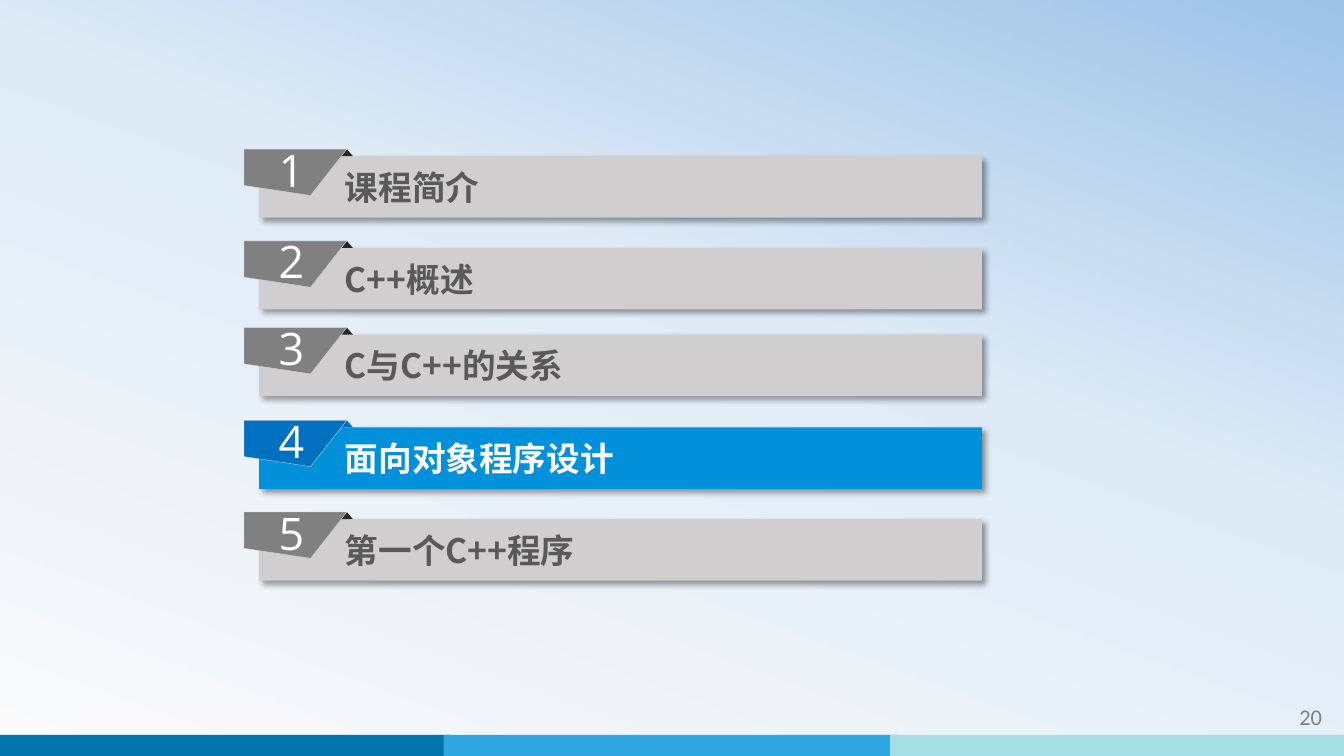
from lxml import etree
from pptx import Presentation
from pptx.dml.color import RGBColor
from pptx.enum.shapes import MSO_SHAPE
from pptx.enum.text import MSO_ANCHOR, PP_ALIGN
from pptx.oxml import parse_xml
from pptx.oxml.ns import nsdecls, qn
from pptx.util import Inches, Pt

RECTANGLE, TRIANGLE = MSO_SHAPE.RECTANGLE, MSO_SHAPE.ISOSCELES_TRIANGLE
MIDDLE = MSO_ANCHOR.MIDDLE
LEFT, CENTER, RIGHT = PP_ALIGN.LEFT, PP_ALIGN.CENTER, PP_ALIGN.RIGHT

WIDTH, HEIGHT = 13.33, 7.5
BACKGROUND_STOPS = [(0, "FAFAFA"), (58, "DEEBF7"), (100, "9DC3E6")]
BACKGROUND_ANGLE = 290
STRIPES = [(-0.03, "0073AB"), (4.4, "2EA7E0"), (8.83, "A5DEE4")]
MUTED = {"bar": "D0CECE", "fold": "262626", "tab": "808080", "text": "595959"}
ACTIVE = {"bar": "0091DA", "fold": "0070C0", "tab": "0070C0", "text": "FFFFFF"}
CHAPTERS = [
    (1.48, "课程简介", MUTED),
    (2.39, "C++概述", MUTED),
    (3.25, "C与C++的关系", MUTED),
    (4.17, "面向对象程序设计", ACTIVE),
    (5.08, "第一个C++程序", MUTED),
]
CHAPTER_LEFT, CHAPTER_WIDTH, CHAPTER_HEIGHT = 2.42, 7.32, 0.68
TAB_WIDTH = 1.02


def color(value):
    """Turn a hex string into a colour."""
    return RGBColor.from_string(value)


def add_block(shapes, kind, box, fill):
    """Add a plain filled shape without outline or shadow."""
    block = shapes.add_shape(kind, *map(Inches, box))
    block.fill.solid()
    block.fill.fore_color.rgb = color(fill)
    block.line.fill.background()
    block.shadow.inherit = False
    return block


def write(shape, text, font, size, fill, align, insets=(0.1, 0.05, 0.1, 0.05), bold=False):
    """Write one middle-anchored line of text into a shape."""
    frame = shape.text_frame
    frame.text = text
    frame.word_wrap = True
    frame.vertical_anchor = MIDDLE
    (frame.margin_left, frame.margin_top,
     frame.margin_right, frame.margin_bottom) = map(Inches, insets)
    para = frame.paragraphs[0]
    para.alignment = align
    for span in para.runs:
        span.font.name, span.font.size, span.font.bold = font, Pt(size), bold
        span.font.color.rgb = color(fill)
        etree.SubElement(span.font._element, qn("a:ea"), typeface=font)


def add_soft_shadow(shape):
    """Give a shape a soft shadow to the lower right."""
    effects = shape._element.spPr.find(qn("a:effectLst"))
    effects.append(parse_xml(
        f'<a:outerShdw {nsdecls("a")} blurRad="{Pt(4)}" dist="{Pt(3)}" dir="{45 * 60000}" '
        'algn="tl" rotWithShape="0"><a:srgbClr val="000000"><a:alpha val="40000"/>'
        '</a:srgbClr></a:outerShdw>'))


def paint_background(page):
    """Fill the slide with the slanted blue gradient."""
    stops = "".join(f'<a:gs pos="{share * 1000}"><a:srgbClr val="{fill}"/></a:gs>'
                    for share, fill in BACKGROUND_STOPS)
    page._element.cSld.insert(0, parse_xml(
        f'<p:bg {nsdecls("p", "a")}><p:bgPr><a:gradFill rotWithShape="1">'
        f'<a:gsLst>{stops}</a:gsLst><a:lin ang="{BACKGROUND_ANGLE * 60000}" scaled="0"/>'
        '</a:gradFill><a:effectLst/></p:bgPr></p:bg>'))


def add_footer(page, top, height, number):
    """Place the coloured stripes and the page number above them."""
    stripes = page.shapes.add_group_shape().shapes
    for left, fill in STRIPES:
        add_block(stripes, RECTANGLE, (left, top, 4.5, height), fill)
    label = page.shapes.add_textbox(*map(Inches, (11.62, top - 0.38, 1.59, 0.4)))
    write(label, number, "Calibri", 16, "808080", RIGHT)


def add_tab(shapes, left, top, number, fill):
    """Draw the slanted number tab."""
    outline = shapes.build_freeform(Inches(left), Inches(top))
    corners = [(TAB_WIDTH, 0), (0.66, 0.46), (0, 0.36)]
    outline.add_line_segments([(Inches(left + x), Inches(top + y)) for x, y in corners])
    tab = outline.convert_to_shape()
    tab.fill.solid()
    tab.fill.fore_color.rgb = color(fill)
    tab.line.color.rgb = color("D9D9D9")
    tab.line.width = Pt(0.25)
    tab.shadow.inherit = False
    write(tab, number, "Open Sans", 32, "FFFFFF", CENTER, (0.09, 0.04, 0.17, 0.1))


def add_chapter(page, box, number, title, palette):
    """Build one agenda row: bar, folded corner and number tab."""
    left, top, width, height = box
    fold = 0.07
    row = page.shapes.add_group_shape().shapes
    bar = add_block(row, RECTANGLE, (left + 0.15, top + fold, width - 0.15, height - fold),
                    palette["bar"])
    add_soft_shadow(bar)
    write(bar, title, "Noto Sans CJK SC", 24, palette["text"], LEFT,
          (0.85, 0.05, 0.1, 0.05), True)
    add_block(row, TRIANGLE, (left + TAB_WIDTH - 0.06, top, 0.12, fold), palette["fold"])
    add_tab(row, left, top, str(number), palette["tab"])


def main():
    """Build the agenda slide and save it."""
    deck = Presentation()
    deck.slide_width, deck.slide_height = Inches(WIDTH), Inches(HEIGHT)
    page = deck.slides.add_slide(deck.slide_layouts[6])
    paint_background(page)
    add_footer(page, HEIGHT - 0.21, 0.21, "20")
    for number, (top, title, palette) in enumerate(CHAPTERS, 1):
        box = (CHAPTER_LEFT, top, CHAPTER_WIDTH, CHAPTER_HEIGHT)
        add_chapter(page, box, number, title, palette)
    deck.save("out.pptx")


if __name__ == "__main__":
    main()
